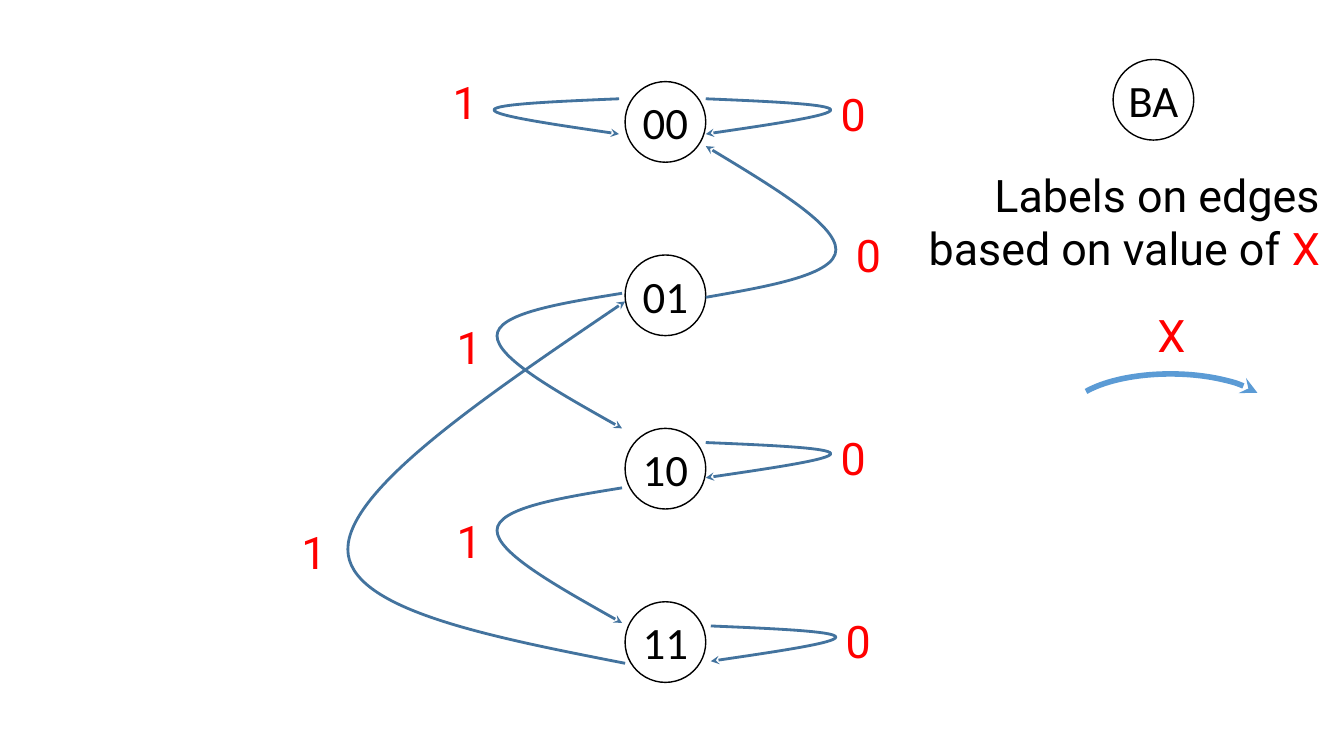
"""Build a state diagram slide with labelled transitions and a legend."""
from typing import NamedTuple

from lxml import etree
from pptx import Presentation
from pptx.dml.color import RGBColor
from pptx.enum.shapes import MSO_SHAPE
from pptx.enum.text import MSO_ANCHOR, MSO_AUTO_SIZE, PP_ALIGN
from pptx.oxml.ns import qn
from pptx.shapes.autoshape import Shape
from pptx.shapes.shapetree import SlideShapes
from pptx.util import Inches, Pt

BLACK = RGBColor(0x00, 0x00, 0x00)
WHITE = RGBColor(0xFF, 0xFF, 0xFF)
RED = RGBColor(0xFF, 0x00, 0x00)
EDGE_BLUE = RGBColor(0x43, 0x73, 0x9E)
LEGEND_BLUE = RGBColor(0x5B, 0x9B, 0xD5)
OVAL, ARC = MSO_SHAPE.OVAL, MSO_SHAPE.ARC
MIDDLE = MSO_ANCHOR.MIDDLE
GROW = MSO_AUTO_SIZE.SHAPE_TO_FIT_TEXT
LEFT, CENTER, RIGHT = PP_ALIGN.LEFT, PP_ALIGN.CENTER, PP_ALIGN.RIGHT

NODE_SIZE = 0.8
NODE_LEFT, NODE_TOP, NODE_STEP = 6.2, 0.81, 1.72
STATES = ("00", "01", "10", "11")
BEND_IN, BEND_OUT = 0.15, 0.48


class Edge(NamedTuple):
    """A curved transition, its furthest x and the place of its label."""
    start: tuple[float, float]
    end: tuple[float, float]
    apex: float
    label: str
    label_at: tuple[float, float]


EDGES = (
    Edge((7, 0.98), (7, 1.33), 8.24, "0", (8.24, 0.81)),
    Edge((6.2, 6.58), (6.2, 2.99), 3.45, "1", (2.89, 5.16)),
    Edge((7, 2.95), (7, 1.45), 8.29, "0", (8.39, 2.21)),
    Edge((7, 4.39), (7, 4.74), 8.24, "0", (8.24, 4.22)),
    Edge((7.05, 6.21), (7.05, 6.56), 8.29, "0", (8.29, 6.04)),
    Edge((6.14, 0.98), (6.14, 1.33), 4.9, "1", (4.39, 0.69)),
    Edge((6.17, 2.91), (6.17, 4.25), 4.93, "1", (4.43, 3.12)),
    Edge((6.17, 4.84), (6.17, 6.18), 4.93, "1", (4.43, 5.05)),
)


def add_run(sp: Shape, text: str, *, font: str = "Roboto",
            color: RGBColor = RED, align: PP_ALIGN = LEFT) -> None:
    """Append a formatted run to the first paragraph of a shape."""
    p = sp.text_frame.paragraphs[0]
    p.alignment = align
    r = p.add_run()
    r.text = text
    r.font.name, r.font.size = font, Pt(32)
    r.font.color.rgb = color


def add_box(shapes: SlideShapes, left: float, top: float, width: float,
            height: float, wrap: bool = False) -> Shape:
    """Add an empty text box that grows with its text."""
    sp = shapes.add_textbox(*map(Inches, (left, top, width, height)))
    tf = sp.text_frame
    tf.word_wrap, tf.auto_size = wrap, GROW
    return sp


def add_node(shapes: SlideShapes, text: str, left: float, top: float) -> None:
    """Add a state circle."""
    sp = shapes.add_shape(OVAL, *map(Inches, (left, top, NODE_SIZE, NODE_SIZE)))
    sp.shadow.inherit = False
    sp.fill.solid()
    sp.fill.fore_color.rgb = WHITE
    sp.line.color.rgb, sp.line.width = BLACK, Pt(1)
    tf = sp.text_frame
    tf.margin_left = tf.margin_right = tf.margin_top = tf.margin_bottom = 0
    tf.vertical_anchor = MIDDLE
    add_run(sp, text, font="Calibri", color=BLACK, align=CENTER)


def style_arrow(sp: Shape, color: RGBColor, width: float) -> None:
    """Make a shape an unfilled line that ends in a stealth arrowhead."""
    sp.shadow.inherit = False
    sp.fill.background()
    sp.line.color.rgb, sp.line.width = color, Pt(width)
    ln = sp.line._get_or_add_ln()
    etree.SubElement(ln, qn("a:tailEnd"), type="stealth")


def add_edge(shapes: SlideShapes, edge: Edge) -> None:
    """Add a transition of two Bezier curves that meet at the apex."""
    (x1, y1), (x2, y2) = edge.start, edge.end
    y_in = y1 + BEND_IN * (y2 - y1)
    y_out = y1 + BEND_OUT * (y2 - y1)
    points = (
        ((x1 + edge.apex) / 2, (y1 + y_in) / 2),
        (edge.apex, y_in),
        (edge.apex, (y_in + y_out) / 2),
        (edge.apex, y_out),
        ((x2 + edge.apex) / 2, (y2 + y_out) / 2),
        edge.end,
    )
    builder = shapes.build_freeform(Inches(x1), Inches(y1))
    builder.add_line_segments([(Inches(x), Inches(y)) for x, y in points], close=False)
    sp = builder.convert_to_shape()
    outline = next(sp._element.iter(qn("a:path")))
    lines = outline.findall(qn("a:lnTo"))
    for i in range(0, len(lines), 3):
        curve = etree.SubElement(outline, qn("a:cubicBezTo"))
        for line in lines[i:i + 3]:
            curve.append(line[0])
            outline.remove(line)
    style_arrow(sp, EDGE_BLUE, 2)
    add_run(add_box(shapes, *edge.label_at, 0.44, 0.64), edge.label)


def add_legend(shapes: SlideShapes) -> None:
    """Add the key to node names and edge labels."""
    note = add_box(shapes, 8.93, 1.61, 4.26, 1.18, wrap=True)
    note.fill.solid()
    note.fill.fore_color.rgb = WHITE
    add_run(note, "Labels on edges based on value of ", color=BLACK, align=RIGHT)
    add_run(note, "X", align=RIGHT)
    add_node(shapes, "BA", 11.04, 0.59)
    add_run(add_box(shapes, 11.38, 3, 0.47, 0.64), "X")
    arc = shapes.add_shape(ARC, *map(Inches, (10.58, 3.71, 2.06, 0.83)))
    arc.adjustments[0], arc.adjustments[1] = 117.64, 207.15
    style_arrow(arc, LEGEND_BLUE, 4)


def main() -> None:
    """Draw the slide and save it."""
    prs = Presentation()
    prs.slide_width, prs.slide_height = Inches(13.33), Inches(7.5)
    shapes = prs.slides.add_slide(prs.slide_layouts[6]).shapes
    for i, state in enumerate(STATES):
        add_node(shapes, state, NODE_LEFT, NODE_TOP + i * NODE_STEP)
    for edge in EDGES:
        add_edge(shapes, edge)
    add_legend(shapes)
    prs.save("out.pptx")


if __name__ == "__main__":
    main()
